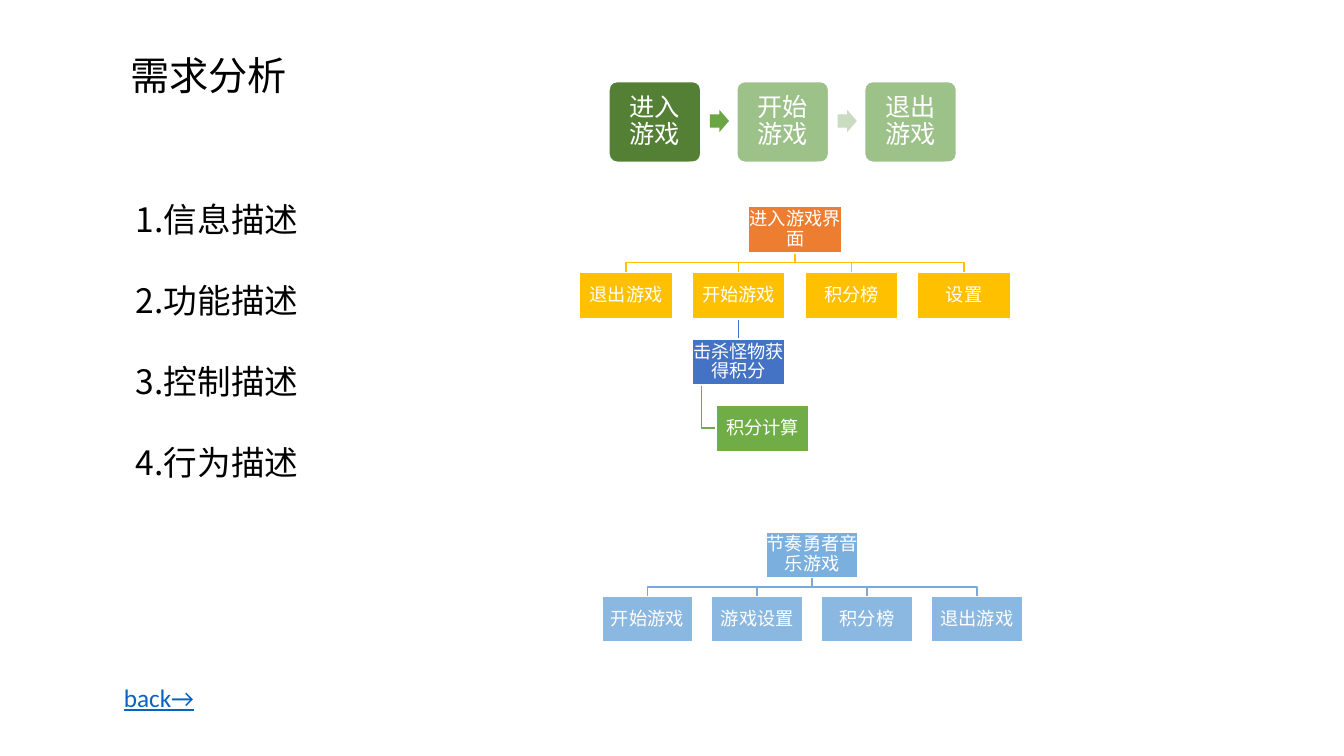
from dataclasses import dataclass

from lxml import etree
from pptx import Presentation
from pptx.dml.color import RGBColor
from pptx.enum.shapes import MSO_CONNECTOR, MSO_SHAPE
from pptx.enum.text import MSO_ANCHOR, MSO_AUTO_SIZE, PP_ALIGN
from pptx.oxml.ns import qn
from pptx.shapes.autoshape import Shape
from pptx.slide import Slide
from pptx.text.text import TextFrame
from pptx.util import Inches, Pt

ROUNDED, ARROW, RECTANGLE = MSO_SHAPE.ROUNDED_RECTANGLE, MSO_SHAPE.RIGHT_ARROW, MSO_SHAPE.RECTANGLE
STRAIGHT = MSO_CONNECTOR.STRAIGHT
TOP, MIDDLE = MSO_ANCHOR.TOP, MSO_ANCHOR.MIDDLE
LEFT, CENTER = PP_ALIGN.LEFT, PP_ALIGN.CENTER
NO_AUTOFIT = MSO_AUTO_SIZE.NONE

GRID_STEP = 0.1
LATIN_FONT, CHINESE_FONT = "Calibri", "Noto Sans CJK SC"
WHITE, BLACK, LINK_BLUE = "FFFFFF", "000000", "0563C1"
ORANGE, GOLD, BLUE, GREEN = "ED7D31", "FFC000", "4472C4", "70AD47"
SKY, SKY_LINE = "5B9BD5", "7AA9DA"


@dataclass(frozen=True)
class Area:
    left: float
    top: float
    width: float
    height: float

    @property
    def middle(self) -> float:
        return self.left + self.width / 2

    @property
    def bottom(self) -> float:
        return self.top + self.height


@dataclass(frozen=True)
class Node:
    text: str
    column: float
    row: int
    fill: str
    parent: int | None = None
    link: str = GOLD
    hanging: bool = False
    opacity: int = 100


@dataclass(frozen=True)
class Tree:
    first: Area
    column_step: float
    row_step: float
    nodes: list[Node]

    def area(self, node: Node) -> Area:
        return Area(self.first.left + node.column * self.column_step,
                    self.first.top + node.row * self.row_step,
                    self.first.width, self.first.height)


@dataclass(frozen=True)
class Step:
    text: str
    fill: str
    arrow: str | None = None


STEPS = [Step("进入游戏", "538035", "6BA544"), Step("开始游戏", "9CC189", "C9DBC1"), Step("退出游戏", "9CC189")]

SCREEN_TREE = Tree(Area(57.5, 20.5, 9.2, 4.6), 11.17, 6.56, [
    Node("进入游戏界面", 1.5, 0, ORANGE),
    *[Node(text, column, 1, GOLD, parent=0)
      for column, text in enumerate(["退出游戏", "开始游戏", "积分榜", "设置"])],
    Node("击杀怪物获得积分", 1, 2, BLUE, parent=2, link=BLUE),
    Node("积分计算", 1.21, 3, GREEN, parent=5, link=GREEN, hanging=True),
])

GAME_TREE = Tree(Area(59.7, 52.8, 9, 4.5), 10.9, 6.4, [
    Node("节奏勇者音乐游戏", 1.5, 0, SKY, opacity=80),
    *[Node(text, column, 1, SKY, parent=0, link=SKY_LINE, opacity=70)
      for column, text in enumerate(["开始游戏", "游戏设置", "积分榜", "退出游戏"])],
])


def grid(value: float) -> int:
    return Inches(value * GRID_STEP)


def box(area: Area) -> tuple[int, int, int, int]:
    return grid(area.left), grid(area.top), grid(area.width), grid(area.height)


def color(value: str) -> RGBColor:
    return RGBColor.from_string(value)


def write(frame: TextFrame, text: str, *, size: float, fill: str = WHITE, font: str = LATIN_FONT,
          anchor: MSO_ANCHOR = TOP, align: PP_ALIGN = LEFT, inset: float | None = None,
          spacing: float | Pt = 1.0, gap: float = 0, underline: bool = False) -> None:
    frame.word_wrap = True
    frame.auto_size = NO_AUTOFIT
    frame.vertical_anchor = anchor
    if inset is not None:
        frame.margin_left = frame.margin_right = grid(inset)
        frame.margin_top = frame.margin_bottom = grid(inset)
    frame.text = text
    for index, paragraph in enumerate(frame.paragraphs):
        paragraph.alignment = align
        paragraph.line_spacing = spacing
        paragraph.space_before = Pt(gap if index else 0)
        paragraph.space_after = Pt(0)
        run = paragraph.runs[0]
        run.font.size = Pt(size)
        run.font.name = font
        run.font.color.rgb = color(fill)
        run.font.underline = underline
        if font == CHINESE_FONT:
            etree.SubElement(run.font._element, qn("a:ea"), typeface=font)


def add_block(slide: Slide, kind: MSO_SHAPE, area: Area, fill: str, *, outlined: bool = True,
              opacity: int = 100) -> Shape:
    shape = slide.shapes.add_shape(kind, *box(area))
    shape.shadow.inherit = False
    shape.fill.solid()
    shape.fill.fore_color.rgb = color(fill)
    if opacity < 100:
        tint = shape._element.spPr.find(f"{qn('a:solidFill')}/{qn('a:srgbClr')}")
        etree.SubElement(tint, qn("a:alpha"), val=str(opacity * 1000))
    if outlined:
        shape.line.color.rgb = color(WHITE)
        shape.line.width = Pt(1)
    else:
        shape.line.fill.background()
    return shape


def add_link(slide: Slide, parent: Area, child: Area, tint: str, hanging: bool) -> None:
    if hanging:
        start = parent.left + parent.width / 10
        center = child.top + child.height / 2
        points = [(start, parent.bottom), (start, center), (child.left, center)]
    else:
        bend = (parent.bottom + child.top) / 2
        points = [(parent.middle, parent.bottom), (parent.middle, bend),
                  (child.middle, bend), (child.middle, child.top)]
    corners = [(grid(x), grid(y)) for x, y in points]
    if parent.middle == child.middle:
        link = slide.shapes.add_connector(STRAIGHT, *corners[0], *corners[-1])
    else:
        builder = slide.shapes.build_freeform(*corners[0])
        builder.add_line_segments(corners[1:], close=False)
        link = builder.convert_to_shape()
        link.fill.background()
    link.line.color.rgb = color(tint)
    link.line.width = Pt(1)
    etree.SubElement(link._element.spPr, qn("a:effectLst"))


def add_tree(slide: Slide, tree: Tree) -> None:
    for node in tree.nodes:
        if node.parent is not None:
            parent = tree.area(tree.nodes[node.parent])
            add_link(slide, parent, tree.area(node), node.link, node.hanging)
    for node in tree.nodes:
        shape = add_block(slide, RECTANGLE, tree.area(node), node.fill, opacity=node.opacity)
        write(shape.text_frame, node.text, size=13, anchor=MIDDLE, align=CENTER, inset=0, spacing=0.9)


def add_flow(slide: Slide, steps: list[Step]) -> None:
    for index, step in enumerate(steps):
        offset = index * 12.68
        shape = add_block(slide, ROUNDED, Area(60.4 + offset, 8.1, 9.1, 8), step.fill)
        shape.adjustments[0] = 0.1
        write(shape.text_frame, step.text, size=18, anchor=MIDDLE, align=CENTER, inset=0.8, spacing=0.9)
        if step.arrow:
            arrow = add_block(slide, ARROW, Area(70.4 + offset, 10.9, 1.9, 2.2), step.arrow, outlined=False)
            arrow.adjustments[0] = 0.6


def main() -> None:
    presentation = Presentation()
    presentation.slide_width, presentation.slide_height = Inches(13.33), Inches(7.5)
    slide = presentation.slides.add_slide(presentation.slide_layouts[5])

    title = slide.shapes.title
    title.left, title.top, title.width, title.height = box(Area(11.9, 4.4, 31.6, 5.7))
    write(title.text_frame, "需求分析", size=28, fill=BLACK, font=CHINESE_FONT, spacing=Pt(35))

    topics = slide.shapes.add_textbox(*box(Area(12.5, 19.1, 21.2, 29.3)))
    write(topics.text_frame, "1.信息描述\n2.功能描述\n3.控制描述\n4.行为描述", size=24, fill=BLACK,
          font=CHINESE_FONT, spacing=Pt(30), gap=27.9)

    back = slide.shapes.add_textbox(*box(Area(11.3, 67.2, 11.8, 4)))
    write(back.text_frame, "back→", size=18, fill=LINK_BLUE, underline=True)

    add_flow(slide, STEPS)
    add_tree(slide, SCREEN_TREE)
    add_tree(slide, GAME_TREE)
    presentation.save("out.pptx")


if __name__ == "__main__":
    main()
